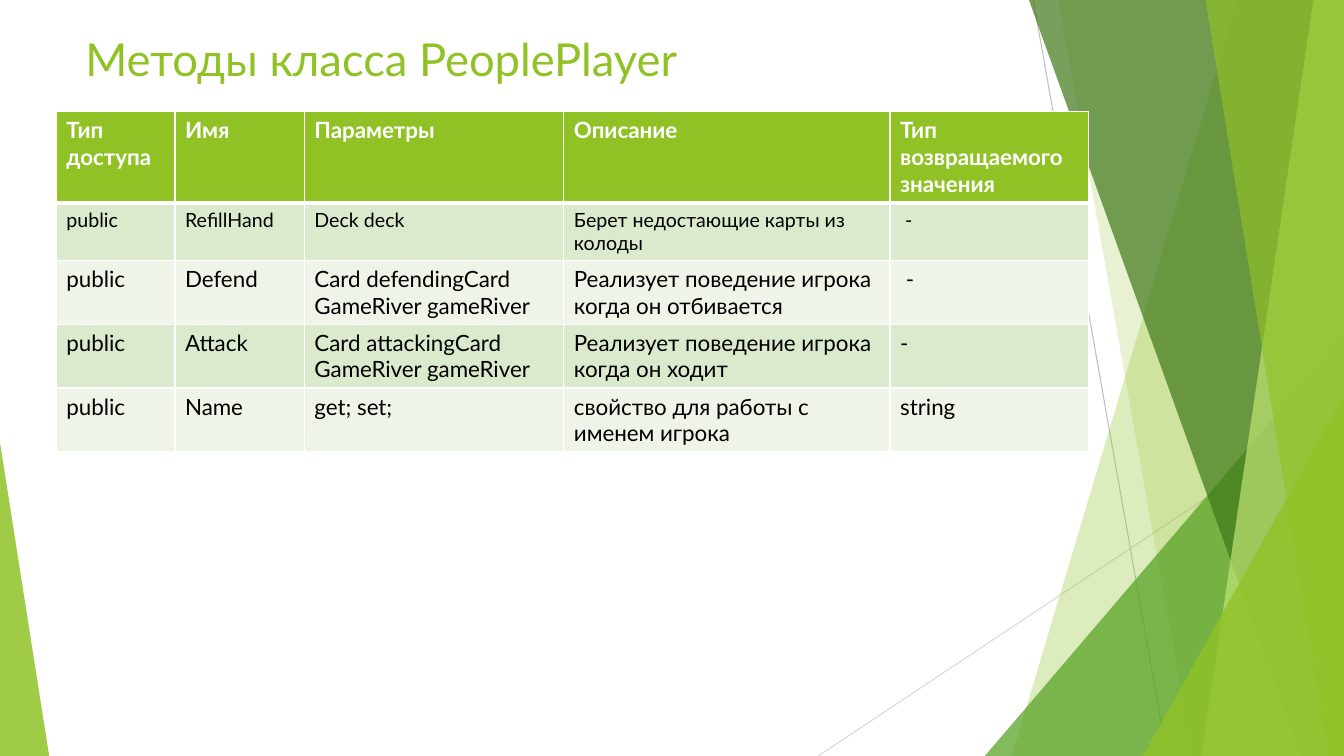
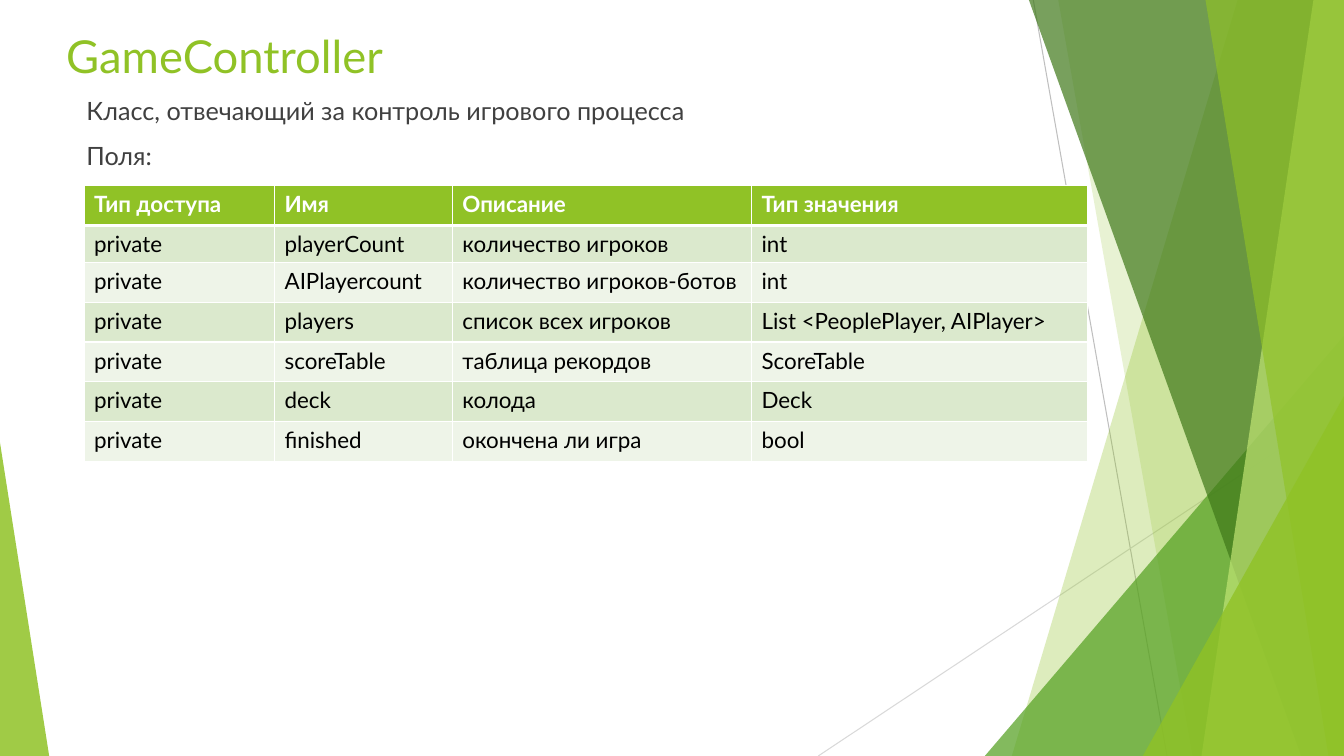
from lxml.etree import SubElement
from pptx import Presentation
from pptx.dml.color import RGBColor
from pptx.enum.shapes import MSO_CONNECTOR, MSO_SHAPE
from pptx.enum.text import MSO_ANCHOR
from pptx.oxml.ns import qn
from pptx.util import Cm, Pt

LIME = RGBColor(0x90, 0xC2, 0x26)
GREEN = RGBColor(0x54, 0xA0, 0x21)
FOREST = RGBColor(0x3F, 0x78, 0x19)
PALE_LIME = RGBColor(0xC0, 0xE4, 0x74)
ROW_TINT = RGBColor(0xDB, 0xE9, 0xCD)
ROW_LIGHT = RGBColor(0xEE, 0xF4, 0xE8)
SILVER = RGBColor(0xBF, 0xBF, 0xBF)
LIGHT_GRAY = RGBColor(0xD9, 0xD9, 0xD9)
DARK_GRAY = RGBColor(0x40, 0x40, 0x40)
WHITE = RGBColor(0xFF, 0xFF, 0xFF)
BLACK = RGBColor(0, 0, 0)

WIDTH, HEIGHT = 33.87, 19.05


class Deck:
    """Holds the facet style and the slide being built."""

    font = "Lato"
    title_size = 32.4
    body_size = 18
    cell_size = 16

    def __init__(self):
        self.presentation = Presentation()
        self.presentation.slide_width = Cm(WIDTH)
        self.presentation.slide_height = Cm(HEIGHT)
        self.slide = None

    def new_slide(self):
        self.slide = self.presentation.slides.add_slide(self.presentation.slide_layouts[6])
        self.ray(26.04, 0, 29.41, HEIGHT, SILVER)
        self.ray(WIDTH, 10.24, 20.62, HEIGHT, LIGHT_GRAY)
        self.band(31.19, 25.5, LIME, 30)
        self.band(26.67, 30.05, LIME, 20)
        self.corner(24.82, 8.46, 9.05, GREEN, 72, 1)
        self.band(25.93, 32.79, FOREST, 70)
        self.band(33.1, 30.28, PALE_LIME, 70)
        self.band(30.38, 33.48, LIME, 65)
        self.corner(28.8, 9.98, 5.07, LIME, 80, 1)
        self.corner(0, 11.15, 1.24, LIME, 85, 0)

    def ray(self, x1, y1, x2, y2, color):
        ray = self.slide.shapes.add_connector(
            MSO_CONNECTOR.STRAIGHT, Cm(x1), Cm(y1), Cm(x2), Cm(y2))
        ray.line.color.rgb = color
        ray.line.width = Pt(0.75)
        SubElement(ray._element.spPr, qn("a:effectLst"))

    def band(self, top_x, bottom_x, color, opacity):
        outline = self.slide.shapes.build_freeform(Cm(top_x), 0)
        corners = [(WIDTH, 0), (WIDTH, HEIGHT), (bottom_x, HEIGHT)]
        outline.add_line_segments([(Cm(x), Cm(y)) for x, y in corners])
        self.paint(outline.convert_to_shape(), color, opacity)

    def corner(self, left, top, width, color, opacity, apex):
        facet = self.slide.shapes.add_shape(
            MSO_SHAPE.ISOSCELES_TRIANGLE, Cm(left), Cm(top), Cm(width), Cm(HEIGHT - top))
        facet.adjustments[0] = apex
        self.paint(facet, color, opacity)

    def paint(self, facet, color, opacity):
        facet.shadow.inherit = False
        facet.line.fill.background()
        facet.fill.solid()
        facet.fill.fore_color.rgb = color
        tone = facet._element.spPr.find(qn("a:solidFill")).find(qn("a:srgbClr"))
        SubElement(tone, qn("a:alpha"), val=str(opacity * 1000))

    def run(self, paragraph, words, size, color, bold=False):
        run = paragraph.add_run()
        run.text = words
        run.font.name = self.font
        run.font.size = Pt(size)
        run.font.bold = bold
        run.font.color.rgb = color

    def text(self, left, top, width, height, lines, size, color, space=0):
        frame = self.slide.shapes.add_textbox(
            Cm(left), Cm(top), Cm(width), Cm(height)).text_frame
        frame.word_wrap = True
        frame.vertical_anchor = MSO_ANCHOR.TOP
        for index, line in enumerate(lines):
            paragraph = frame.add_paragraph() if index else frame.paragraphs[0]
            paragraph.space_before = Pt(space)
            self.run(paragraph, line, size, color)

    def title(self, left, top, width, height, words):
        self.text(left, top, width, height, [words], self.title_size, LIME)

    def body(self, left, top, width, height, lines):
        self.text(left, top, width, height, lines, self.body_size, DARK_GRAY, 10)

    def border(self, cell, side, points):
        edge = SubElement(cell._tc.get_or_add_tcPr(), qn(f"a:ln{side}"), w=str(Pt(points)))
        SubElement(SubElement(edge, qn("a:solidFill")), qn("a:srgbClr"), val=str(WHITE))

    def table(self, left, top, widths, heights, rows, small_rows=()):
        grid = self.slide.shapes.add_table(
            len(rows), len(widths), Cm(left), Cm(top), Cm(sum(widths)), Cm(sum(heights))).table
        grid.horz_banding = False
        for column, width in zip(grid.columns, widths):
            column.width = Cm(width)
        for r, (row, height) in enumerate(zip(rows, heights)):
            grid.rows[r].height = Cm(height)
            header = r == 0
            fill = LIME if header else ROW_TINT if r % 2 else ROW_LIGHT
            size = 14 if r in small_rows else self.cell_size
            for c, words in enumerate(row):
                cell = grid.cell(r, c)
                for side in "LRTB":
                    thick = (r, side) in ((0, "B"), (1, "T"))
                    self.border(cell, side, 3 if thick else 1)
                cell.fill.solid()
                cell.fill.fore_color.rgb = fill
                self.run(cell.text_frame.paragraphs[0], words, size,
                         WHITE if header else BLACK, header)


def main():
    deck = Deck()

    deck.new_slide()
    deck.title(1.9, 0.66, 17.02, 2.08, "Методы класса PeoplePlayer")
    methods = [
        ("Тип доступа", "Имя", "Параметры", "Описание", "Тип возвращаемого значения"),
        ("public", "RefillHand", "Deck deck", "Берет недостающие карты из колоды", " -"),
        ("public", "Defend", "Card defendingCard GameRiver gameRiver",
         "Реализует поведение игрока когда он отбивается", " -"),
        ("public", "Attack", "Card attackingCard GameRiver gameRiver",
         "Реализует поведение игрока когда он ходит", "-"),
        ("public", "Name", "get; set;", "свойство для работы с именем игрока", "string"),
    ]
    deck.table(1.42, 2.81, [2.99, 3.26, 6.54, 8.22, 5], [2.3, 1.45] + [1.6] * 3,
               methods, small_rows=(1,))

    deck.new_slide()
    deck.title(1.42, 0.58, 13, 1.7, "GameController")
    deck.body(1.93, 2.29, 26.44, 16.76,
              ["Класс, отвечающий за контроль игрового процесса", "Поля:"])
    fields = [
        ("playerCount", "количество игроков", "int"),
        ("AIPlayercount", "количество игроков-ботов", "int"),
        ("players", "список всех игроков", "List <PeoplePlayer, AIPlayer>"),
        ("scoreTable", "таблица рекордов", "ScoreTable"),
        ("deck", "колода", "Deck"),
        ("finished", "окончена ли игра", "bool"),
    ]
    rows = [("Тип доступа", "Имя", "Описание", "Тип значения")]
    rows += [("private", *field) for field in fields]
    deck.table(2.12, 4.68, [4.8, 4.48, 7.54, 8.47], [1, 0.94] + [1] * 5, rows)

    deck.presentation.save("out.pptx")


if __name__ == "__main__":
    main()
